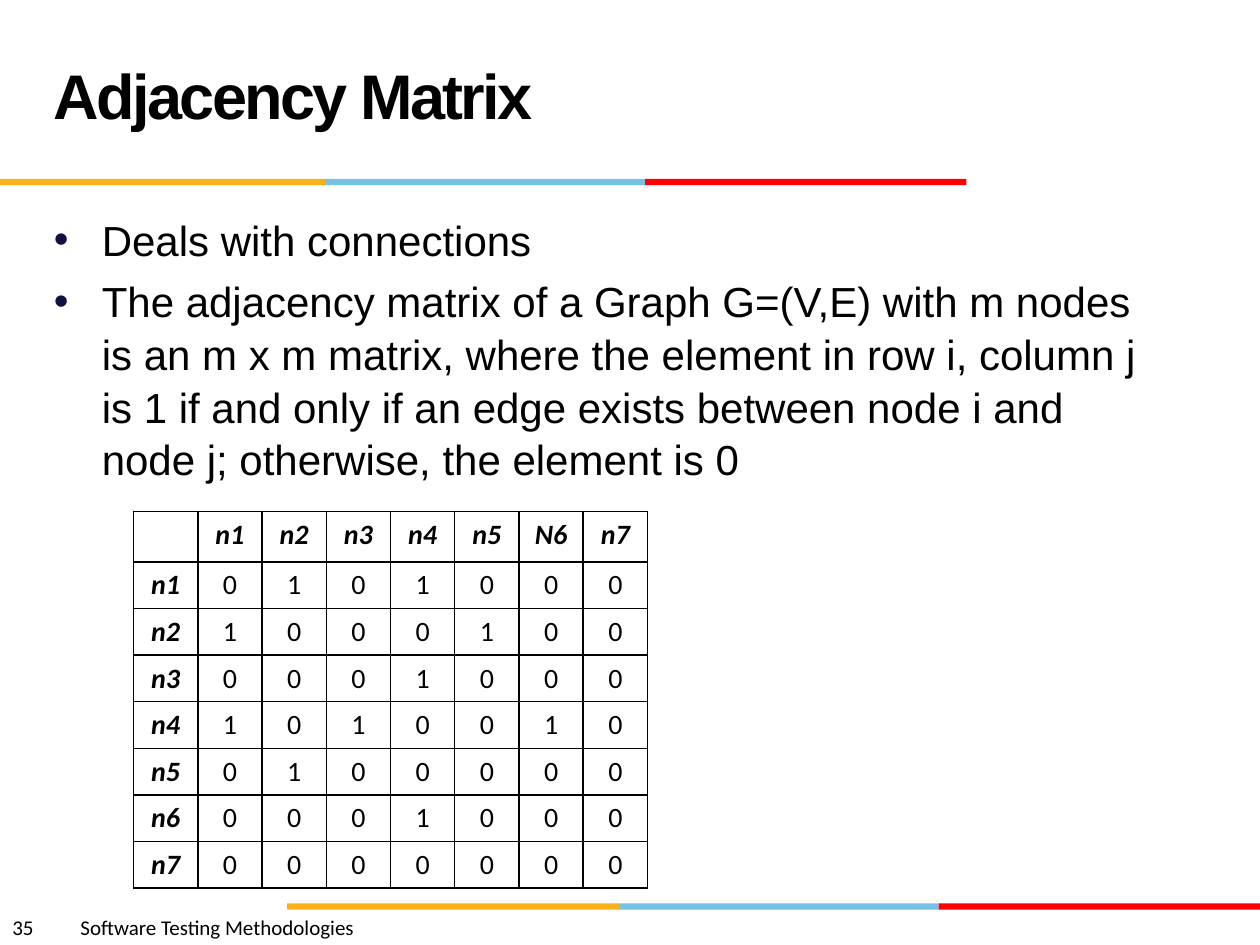
from lxml.etree import SubElement
from pptx import Presentation
from pptx.dml.color import RGBColor
from pptx.enum.shapes import MSO_SHAPE
from pptx.enum.text import MSO_ANCHOR, PP_ALIGN
from pptx.oxml.ns import qn
from pptx.util import Inches, Pt

COLORS = {"text": "000000", "bullet": "101141", "border": "000000",
          "yellow": "FCB017", "blue": "76C2E5", "red": "FF0000"}

TITLE = "Adjacency Matrix"
BULLETS = [
    "Deals with connections",
    "The adjacency matrix of a Graph G=(V,E) with m nodes is an m x m matrix, "
    "where the element in row i, column j is 1 if and only if an edge exists "
    "between node i and node j; otherwise, the element is 0",
]
FOOTER = "35\tSoftware Testing Methodologies"
COLUMN_LABELS = ["n1", "n2", "n3", "n4", "n5", "N6", "n7"]
MATRIX = {
    "n1": [0, 1, 0, 1, 0, 0, 0],
    "n2": [1, 0, 0, 0, 1, 0, 0],
    "n3": [0, 0, 0, 1, 0, 0, 0],
    "n4": [1, 0, 1, 0, 0, 1, 0],
    "n5": [0, 1, 0, 0, 0, 0, 0],
    "n6": [0, 0, 0, 1, 0, 0, 0],
    "n7": [0, 0, 0, 0, 0, 0, 0],
}
STRIPE_COLORS = ["yellow", "blue", "red"]
STRIPES = [(1.42, [0, 2.58, 5.12, 7.67]), (7.17, [2.28, 4.92, 7.45, 10])]
STRIPE_HEIGHT = 0.05
COLUMN_WIDTH, ROW_HEIGHT = 0.51, 0.37


def color(name):
    return RGBColor.from_string(COLORS[name])


def format_runs(paragraph, font_name, size, bold=False, italic=False):
    for run in paragraph.runs:
        font = run.font
        font.name, font.size = font_name, Pt(size)
        font.bold, font.italic = bold, italic
        font.color.rgb = color("text")


def add_text(slide, box, lines):
    text_frame = slide.shapes.add_textbox(*map(Inches, box)).text_frame
    text_frame.word_wrap = True
    text_frame.text = "\n".join(lines)
    return text_frame


def add_stripe(slide, top, edges):
    for name, left, right in zip(STRIPE_COLORS, edges, edges[1:]):
        shape = slide.shapes.add_shape(
            MSO_SHAPE.RECTANGLE, Inches(left), Inches(top),
            Inches(right - left), Inches(STRIPE_HEIGHT))
        shape.shadow.inherit = False
        shape.fill.solid()
        shape.fill.fore_color.rgb = color(name)
        shape.line.fill.background()


def add_bullet(paragraph):
    properties = paragraph._p.get_or_add_pPr()
    properties.set("marL", str(Inches(0.38)))
    properties.set("indent", str(-Inches(0.38)))
    bullet_color = SubElement(properties, qn("a:buClr"))
    SubElement(bullet_color, qn("a:srgbClr"), val=COLORS["bullet"])
    SubElement(properties, qn("a:buFont"), typeface="Arial")
    SubElement(properties, qn("a:buChar"), char="•")


def add_borders(cell):
    properties = cell._tc.get_or_add_tcPr()
    for index, side in enumerate(["lnL", "lnR", "lnT", "lnB"]):
        line = properties.makeelement(qn(f"a:{side}"), {"w": str(Pt(1))})
        fill = SubElement(line, qn("a:solidFill"))
        SubElement(fill, qn("a:srgbClr"), val=COLORS["border"])
        properties.insert(index, line)


def add_matrix(slide):
    rows = [["", *COLUMN_LABELS]]
    rows += [[label, *map(str, values)] for label, values in MATRIX.items()]
    row_count, column_count = len(rows), len(rows[0])
    table = slide.shapes.add_table(
        row_count, column_count, Inches(1.06), Inches(4.06),
        Inches(column_count * COLUMN_WIDTH), Inches(row_count * ROW_HEIGHT)).table
    for column in table.columns:
        column.width = Inches(COLUMN_WIDTH)
    for row_index, row in enumerate(rows):
        table.rows[row_index].height = Inches(ROW_HEIGHT)
        for column_index, text in enumerate(row):
            cell = table.cell(row_index, column_index)
            cell.text = text
            cell.fill.background()
            add_borders(cell)
            paragraph = cell.text_frame.paragraphs[0]
            paragraph.alignment = PP_ALIGN.CENTER
            is_label = row_index == 0 or column_index == 0
            format_runs(paragraph, "Calibri", 16, is_label, is_label)


def main():
    presentation = Presentation()
    presentation.slide_width, presentation.slide_height = Inches(10), Inches(7.5)
    slide = presentation.slides.add_slide(presentation.slide_layouts[6])

    for top, edges in STRIPES:
        add_stripe(slide, top, edges)

    footer = add_text(slide, (0, 7.21, 5, 0.3), [FOOTER]).paragraphs[0]
    format_runs(footer, "Calibri", 12)
    tabs = SubElement(footer._p.get_or_add_pPr(), qn("a:tabLst"))
    SubElement(tabs, qn("a:tab"), pos=str(Inches(0.54)), algn="l")

    for paragraph in add_text(slide, (0.33, 1.63, 9, 4.95), BULLETS).paragraphs:
        paragraph.line_spacing = 1.05
        paragraph.space_before = Pt(4.8)
        add_bullet(paragraph)
        format_runs(paragraph, "Arial", 24)

    title_frame = add_text(slide, (0.33, 0.17, 6.92, 1.25), [TITLE])
    title_frame.vertical_anchor = MSO_ANCHOR.MIDDLE
    title = title_frame.paragraphs[0]
    title.line_spacing = Pt(36)
    format_runs(title, "Arial", 36, bold=True)
    title.runs[0].font._element.set("spc", "-150")

    add_matrix(slide)
    presentation.save("out.pptx")


if __name__ == "__main__":
    main()
